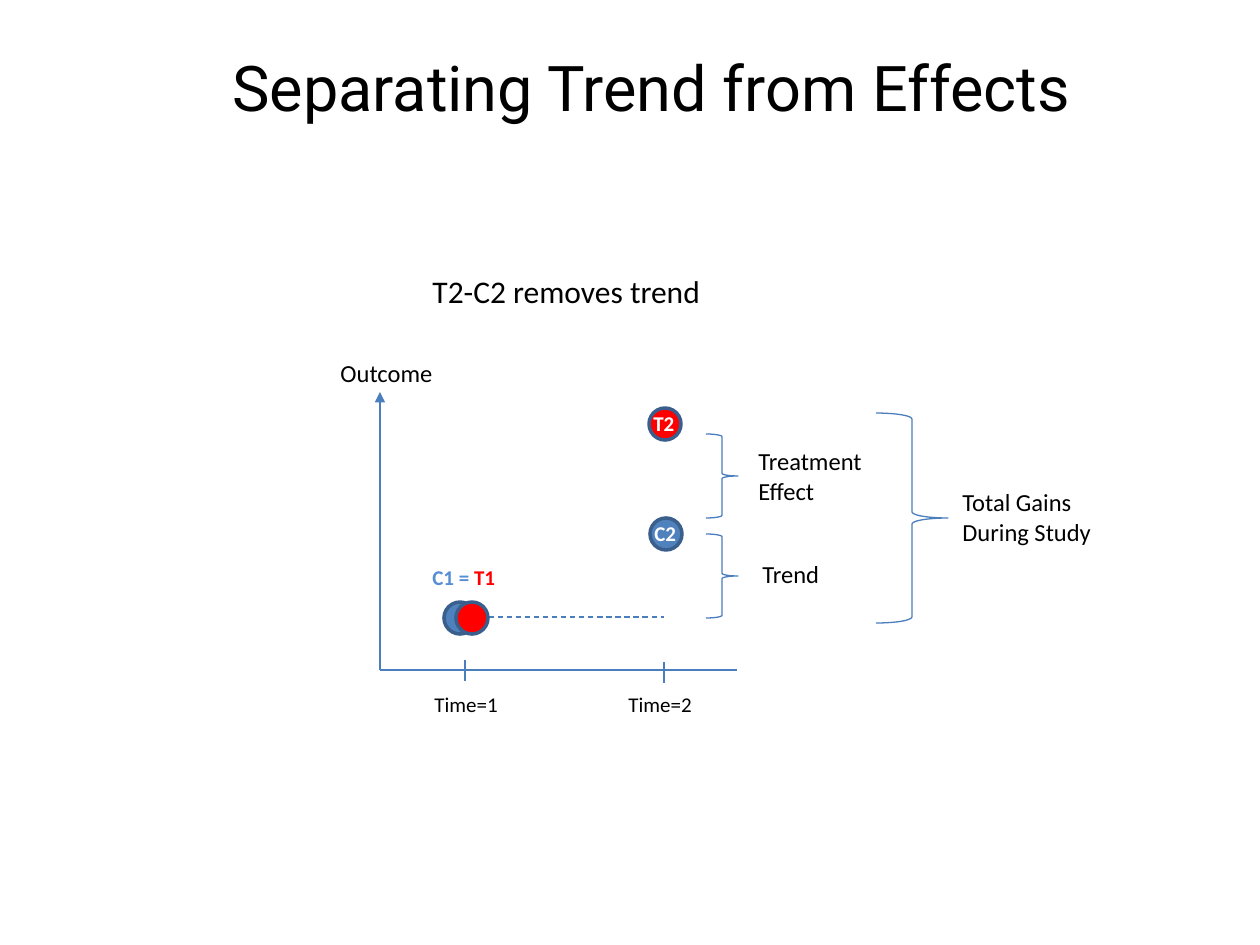
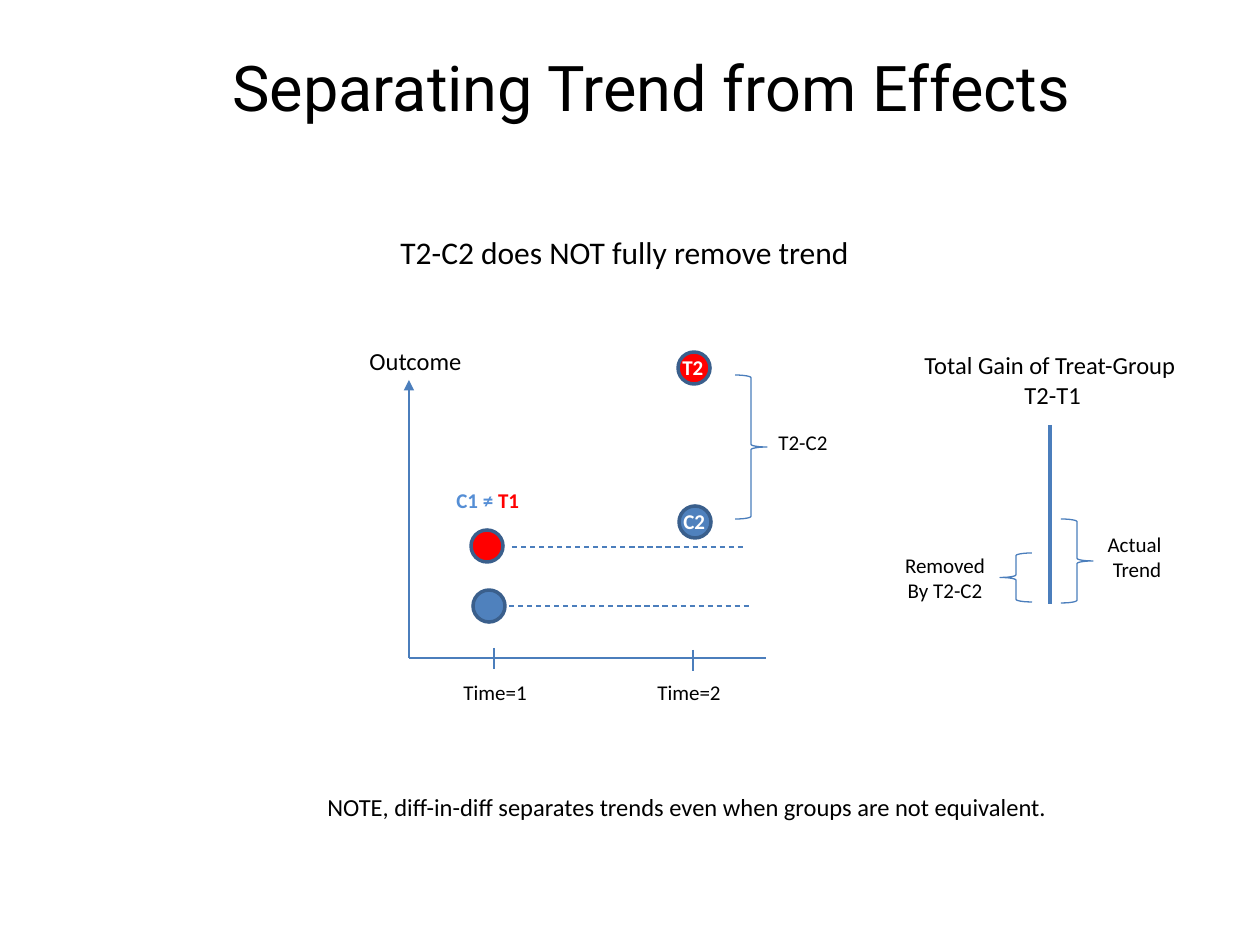
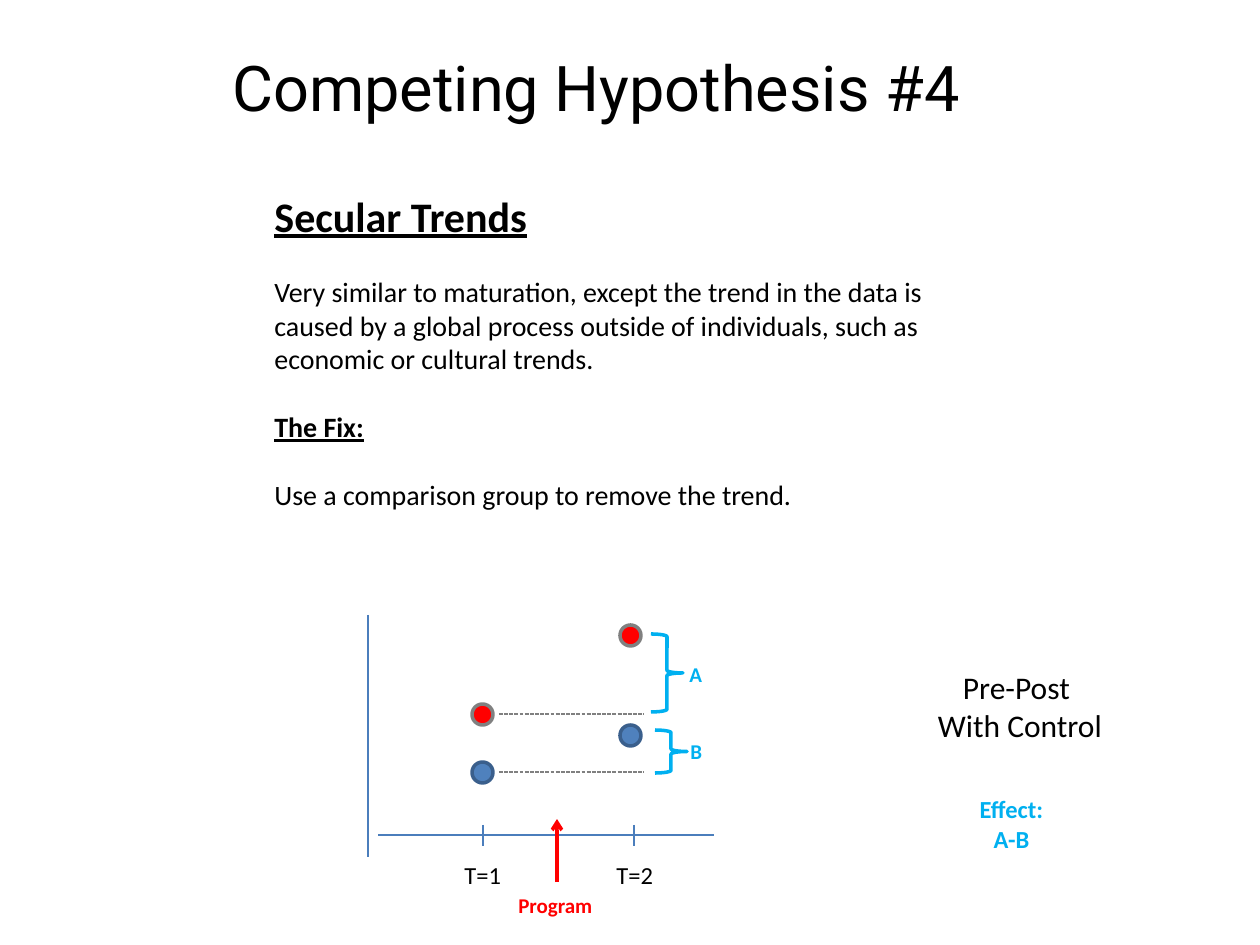
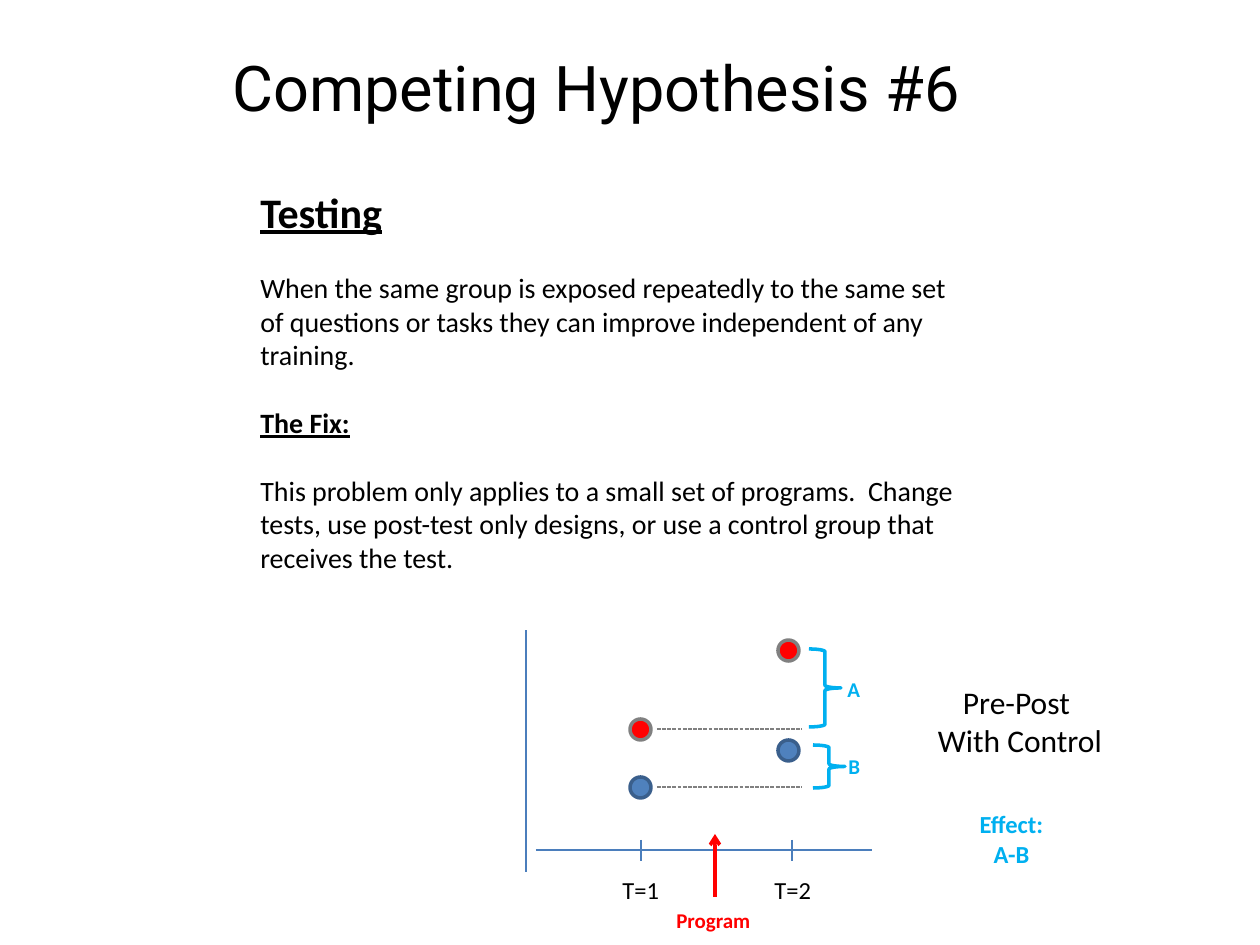
from lxml.etree import SubElement
from pptx import Presentation
from pptx.dml.color import RGBColor
from pptx.enum.dml import MSO_LINE
from pptx.enum.shapes import MSO_CONNECTOR, MSO_SHAPE
from pptx.enum.text import MSO_AUTO_SIZE, PP_ALIGN
from pptx.oxml.ns import qn
from pptx.util import Emu, Pt

SCALE = 914400 / 126  # EMU per pixel

COLORS = {
    "black": "000000", "white": "FFFFFF", "red": "FF0000", "gray": "808080",
    "line": "4B7EBC", "blue": "4F81BD", "rim": "3A5F8C",
    "pale": "558ED5", "cyan": "00B0F0",
}

# Line styles: color, width in points, dash, arrowhead (end tag and type)
LINES = {
    "plain": ("line", 0.75, None, None),
    "axis arrow": ("line", 0.75, None, ("a:headEnd", "triangle")),
    "dash": ("line", 0.75, MSO_LINE.DASH, None),
    "thick": ("line", 2, None, None),
    "level": ("gray", 0.75, MSO_LINE.SQUARE_DOT, None),
    "program": ("red", 2, None, ("a:tailEnd", "arrow")),
}

# Shape styles: preset, fill, outline, outline width in points, mirrored
SHAPES = {
    "control": (MSO_SHAPE.OVAL, "blue", "rim", 2, False),
    "treated": (MSO_SHAPE.OVAL, "red", "rim", 2, False),
    "treated gray": (MSO_SHAPE.OVAL, "red", "gray", 2, False),
    "brace": (MSO_SHAPE.RIGHT_BRACE, None, "line", 0.75, False),
    "mirrored brace": (MSO_SHAPE.RIGHT_BRACE, None, "line", 0.75, True),
    "cyan brace": (MSO_SHAPE.RIGHT_BRACE, None, "cyan", 2, False),
}

# Text styles: font attributes, paragraph attributes, one color per "|" part
CENTER = {"alignment": PP_ALIGN.CENTER}
GAP = {"space_before": Pt(19.5)}
BOLD = {"size": Pt(12), "bold": True}
TEXTS = {
    "title": ({"size": Pt(36), "name": "Roboto"}, {}, ["black"]),
    "heading": ({"size": Pt(24), "bold": True, "underline": True}, {}, ["black"]),
    "body": ({"size": Pt(16)}, GAP, ["black"]),
    "fix": ({"size": Pt(16), "bold": True, "underline": True}, GAP, ["black"]),
    "subtitle": ({"size": Pt(18)}, {}, ["black"]),
    "subtitle center": ({"size": Pt(18)}, CENTER, ["black"]),
    "label": ({"size": Pt(14)}, {}, ["black"]),
    "label center": ({"size": Pt(14)}, CENTER, ["black"]),
    "small": ({"size": Pt(12)}, {}, ["black"]),
    "small center": ({"size": Pt(12)}, CENTER, ["black"]),
    "pair": (BOLD, {}, ["pale", "red"]),
    "dot": (BOLD, {}, ["white"]),
    "gap": (BOLD, {}, ["cyan"]),
    "program": (BOLD, {}, ["red"]),
    "effect": ({"size": Pt(14), "bold": True}, CENTER, ["cyan"]),
}
WRAPPED = ("title", "heading")

# What only one of the two trend slides shows
trend_slides = [
    {
        "shift": (0, 0), "sign": "=", "sign at": (420, 558),
        "dots": {"C2": (650, 518), "C1": (444, 602), "T1": (456, 602), "T2": (649, 408)},
        "lines": [(471, 617, 664, 617, "dash")],
        "shapes": [
            (706, 534, 32, 84, "brace"),
            (706, 434, 32, 84, "brace"),
            (876, 413, 72, 210, "brace"),
        ],
        "texts": [
            (746, 440, 130, 72, "Treatment\nEffect", "label"),
            (750, 553, 83, 43, "Trend", "label"),
            (950, 481, 155, 72, "Total Gains \nDuring Study", "label"),
            (420, 266, 296, 50, "T2-C2 removes trend", "subtitle"),
        ],
    },
    {
        "shift": (29, -12), "sign": "≠", "sign at": (444, 481),
        "dots": {"C2": (679, 506), "C1": (473, 590), "T1": (471, 530), "T2": (678, 352)},
        "lines": [
            (500, 606, 750, 606, "dash"),
            (512, 547, 745, 547, "dash"),
            (1050, 425, 1050, 604, "thick"),
        ],
        "shapes": [
            (1000, 553, 32, 49, "mirrored brace"),
            (735, 375, 32, 144, "brace"),
            (1061, 519, 32, 84, "brace"),
        ],
        "texts": [
            (910, 344, 280, 72, "Total Gain of Treat-Group\n T2-T1", "label center"),
            (892, 546, 106, 63, "Removed\nBy T2-C2", "small center"),
            (1095, 525, 84, 63, "Actual \nTrend", "small center"),
            (765, 423, 76, 38, "T2-C2", "small center"),
            (388, 227, 479, 50, "T2-C2 does NOT fully remove trend", "subtitle"),
            (315, 786, 753, 43, "NOTE, diff-in-diff separates trends even when "
             "groups are not equivalent.", "label"),
        ],
    },
]

hypothesis_slides = [
    {
        "number": 4, "shift": (0, 0), "box": (262, 184, 714, 335),
        "body": [
            "Secular Trends",
            "Very similar to maturation, except the trend in the data is caused by a "
            "global process outside of individuals, such as economic or cultural trends.",
            "The Fix:",
            "Use a comparison group to remove the trend.",
        ],
    },
    {
        "number": 6, "shift": (158, 15), "box": (248, 180, 725, 403),
        "body": [
            "Testing",
            "When the same group is exposed repeatedly to the same set of questions or "
            "tasks they can improve independent of any training.",
            "The Fix:",
            "This problem only applies to a small set of programs.  Change tests, use "
            "post-test only designs, or use a control group that receives the test.",
        ],
    },
]

pages = []
for trend in trend_slides:
    dx, dy = trend["shift"]
    axis_x, axis_y = 380 + dx, 670 + dy
    lines = trend["lines"] + [
        (axis_x, axis_y - 278, axis_x, axis_y, "axis arrow"),
        (axis_x + 357, axis_y, axis_x, axis_y, "plain"),
    ]
    texts = [(328 + dx, 352 + dy, 118, 43, "Outcome", "label")] + trend["texts"]
    for time, tick_x, tick_y, label_x in ((1, 465, 660, 422), (2, 664, 662, 616)):
        lines.append((tick_x + dx, tick_y + dy, tick_x + dx, tick_y + dy + 21, "plain"))
        texts.append((label_x + dx, 685 + dy, 90, 38, f"Time={time}", "small"))
    shapes = []
    for name, (x, y) in trend["dots"].items():
        shapes.append((x, y, 32, 32, "control" if name[0] == "C" else "treated"))
        if name[1] == "2":
            texts.append((x - 8, y - 4, 48, 38, name, "dot"))
    texts.append((*trend["sign at"], 90, 38, f"C1 {trend['sign']} |T1", "pair"))
    pages.append(("Separating Trend from Effects", lines, shapes + trend["shapes"], texts))

for hypothesis in hypothesis_slides:
    dx, dy = hypothesis["shift"]
    lines = [
        (368 + dx, 615 + dy, 368 + dx, 857 + dy, "plain"),
        (378 + dx, 835 + dy, 714 + dx, 835 + dy, "plain"),
        (557 + dx, 882 + dy, 557 + dx, 819 + dy, "program"),
    ]
    shapes = []
    texts = [
        (*hypothesis["box"], "\n".join(hypothesis["body"]), "heading", "body", "fix", "body"),
        (924, 662 + dy, 192, 90, "Pre-Post \nWith Control", "subtitle center"),
        (966, 788 + dy, 91, 72, "Effect:\nA-B", "effect"),
        (506 + dx, 886 + dy, 101, 38, "Program", "program"),
    ]
    for time, tick_x, label_x in ((1, 483, 452), (2, 634, 604)):
        lines.append((tick_x + dx, 825 + dy, tick_x + dx, 846 + dy, "plain"))
        texts.append((label_x + dx, 854 + dy, 63, 43, f"T={time}", "label"))
    # One row per group: first dot, second dot, level line, brace, brace label
    for style, first_y, second_y, level_y, brace, label in (
        ("control", 762, 725, 772, (655, 730, 43), ("B", 678, 732)),
        ("treated gray", 704, 625, 714, (651, 634, 78), ("A", 677, 655)),
    ):
        lines.append((499 + dx, level_y + dy, 644 + dx, level_y + dy, "level"))
        shapes.append((472 + dx, first_y + dy, 21, 21, style))
        shapes.append((620 + dx, second_y + dy, 21, 21, style))
        shapes.append((brace[0] + dx, brace[1] + dy, 32, brace[2], "cyan brace"))
        texts.append((label[1] + dx, label[2] + dy, 38, 38, label[0], "gap"))
    pages.append((f"Competing Hypothesis #{hypothesis['number']}", lines, shapes, texts))


def emu(*pixels):
    """Turn pixel lengths into EMU."""
    return [Emu(round(pixel * SCALE)) for pixel in pixels]


def rgb(name):
    """Look up a named color."""
    return RGBColor.from_string(COLORS[name])


presentation = Presentation()
presentation.slide_width, presentation.slide_height = emu(1260, 945)

for title, lines, shapes, texts in pages:
    slide = presentation.slides.add_slide(presentation.slide_layouts[6])

    for *ends, style in lines:
        color, width, dash, arrow = LINES[style]
        connector = slide.shapes.add_connector(MSO_CONNECTOR.STRAIGHT, *emu(*ends))
        connector.line.color.rgb = rgb(color)
        connector.line.width = Pt(width)
        if dash:
            connector.line.dash_style = dash
        properties = connector.element.spPr
        if arrow:
            SubElement(properties.find(qn("a:ln")), qn(arrow[0]), type=arrow[1])
        SubElement(properties, qn("a:effectLst"))

    for *box, style in shapes:
        preset, fill, outline, width, mirrored = SHAPES[style]
        shape = slide.shapes.add_shape(preset, *emu(*box))
        shape.shadow.inherit = False
        shape.line.color.rgb = rgb(outline)
        shape.line.width = Pt(width)
        if fill:
            shape.fill.solid()
            shape.fill.fore_color.rgb = rgb(fill)
        else:
            shape.fill.background()
        if mirrored:
            shape.element.spPr.find(qn("a:xfrm")).set("flipH", "1")

    for left, top, width, height, text, *styles in [(220, 42, 967, 90, title, "title")] + texts:
        frame = slide.shapes.add_textbox(*emu(left, top, width, height)).text_frame
        frame.word_wrap = styles[0] in WRAPPED
        frame.auto_size = MSO_AUTO_SIZE.SHAPE_TO_FIT_TEXT
        for index, line in enumerate(text.split("\n")):
            paragraph = frame.add_paragraph() if index else frame.paragraphs[0]
            font_values, paragraph_values, colors = TEXTS[styles[min(index, len(styles) - 1)]]
            for attribute, value in paragraph_values.items():
                setattr(paragraph, attribute, value)
            for part, color in zip(line.split("|"), colors):
                run = paragraph.add_run()
                run.text = part
                for attribute, value in {"name": "Calibri", **font_values}.items():
                    setattr(run.font, attribute, value)
                run.font.color.rgb = rgb(color)

presentation.save("out.pptx")
